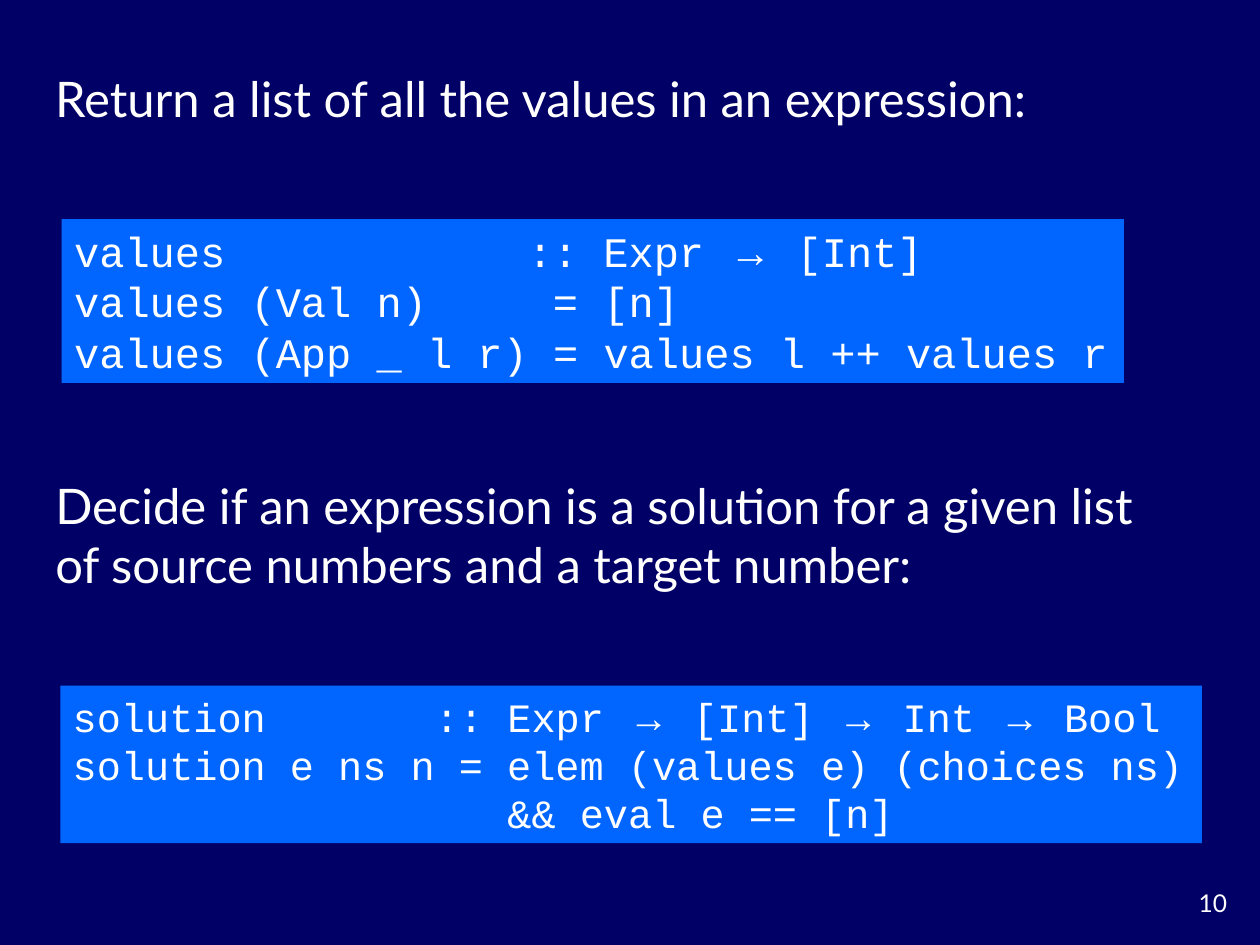
from lxml.etree import SubElement
from pptx import Presentation
from pptx.dml.color import RGBColor
from pptx.enum.shapes import MSO_SHAPE
from pptx.enum.text import MSO_ANCHOR, PP_ALIGN
from pptx.oxml.ns import qn
from pptx.util import Pt

NAVY = RGBColor(0x00, 0x00, 0x66)
BLUE = RGBColor(0x00, 0x66, 0xFF)
WHITE = RGBColor(0xFF, 0xFF, 0xFF)

ARROW = "→"
EM = 0.6  # width of a Courier New letter, as a share of its size

PROSE = {"name": "Lato", "size": Pt(28)}
PAGE = {"name": "Lato", "size": Pt(14)}
FRAME = {
    "margin_left": Pt(7.2), "margin_right": Pt(7.2),
    "margin_top": Pt(3.6), "margin_bottom": Pt(3.6),
}


def apply(item, form):
    """Set each attribute named in form on item."""
    for key, value in form.items():
        setattr(item, key, value)


def add_run(para, text, form):
    """Add one white run to a paragraph."""
    run = para.add_run()
    run.text = text
    apply(run.font, form)
    run.font.color.rgb = WHITE


def set_tab(para, stop):
    """Give a paragraph one left tab stop."""
    tabs = SubElement(para._p.get_or_add_pPr(), qn("a:tabLst"))
    SubElement(tabs, qn("a:tab"), pos=str(int(stop)), algn="l")


def add_prose(slide, box, text, form, anchor=MSO_ANCHOR.MIDDLE,
              align=PP_ALIGN.LEFT):
    """Place plain text in a box."""
    frame = slide.shapes.add_textbox(*map(Pt, box)).text_frame
    apply(frame, {**FRAME, "word_wrap": True, "vertical_anchor": anchor})
    para = frame.paragraphs[0]
    para.alignment = align
    add_run(para, text, form)


def add_code(slide, box, size, lines):
    """Place a code panel; each line is a tab column and its text."""
    panel = slide.shapes.add_shape(MSO_SHAPE.RECTANGLE, *map(Pt, box))
    panel.shadow.inherit = False
    panel.fill.solid()
    panel.fill.fore_color.rgb = BLUE
    panel.line.fill.background()
    frame = panel.text_frame
    apply(frame, {**FRAME, "word_wrap": False,
                  "vertical_anchor": MSO_ANCHOR.MIDDLE})
    for row, (column, text) in enumerate(lines):
        para = frame.add_paragraph() if row else frame.paragraphs[0]
        para.alignment = PP_ALIGN.LEFT
        if column:
            set_tab(para, Pt(column * size * EM))
        for index, part in enumerate(text.split(ARROW)):
            if index:
                add_run(para, ARROW, {"name": "Arial", "size": Pt(size)})
            add_run(para, part, {"name": "Courier New", "size": Pt(size)})


def build():
    """Build and save the slide."""
    deck = Presentation()
    apply(deck, {"slide_width": Pt(720), "slide_height": Pt(540)})
    slide = deck.slides.add_slide(deck.slide_layouts[6])
    slide.background.fill.solid()
    slide.background.fill.fore_color.rgb = NAVY

    add_prose(slide, (24.5, 35.3, 636.5, 41),
              "Return a list of all the values in an expression:", PROSE)
    add_code(slide, (35.3, 125.3, 607, 93.6), 24, [
        (18, "values\t:: Expr → [Int]"),
        (19, "values (Val n)\t= [n]"),
        (0, "values (App _ l r) = values l ++ values r"),
    ])
    add_prose(slide, (24.5, 267.8, 648.7, 74.9),
              "Decide if an expression is a solution for a given list "
              "of source numbers and a target number:", PROSE)
    add_code(slide, (34.5, 391.8, 652.3, 90), 23, [
        (15, "solution\t:: Expr → [Int] → Int → Bool"),
        (0, "solution e ns n = elem (values e) (choices ns)"),
        (18, "\t&& eval e == [n]"),
    ])
    add_prose(slide, (660.2, 504, 48.2, 23.8), "10", PAGE,
              MSO_ANCHOR.TOP, PP_ALIGN.RIGHT)
    deck.save("out.pptx")


build()
